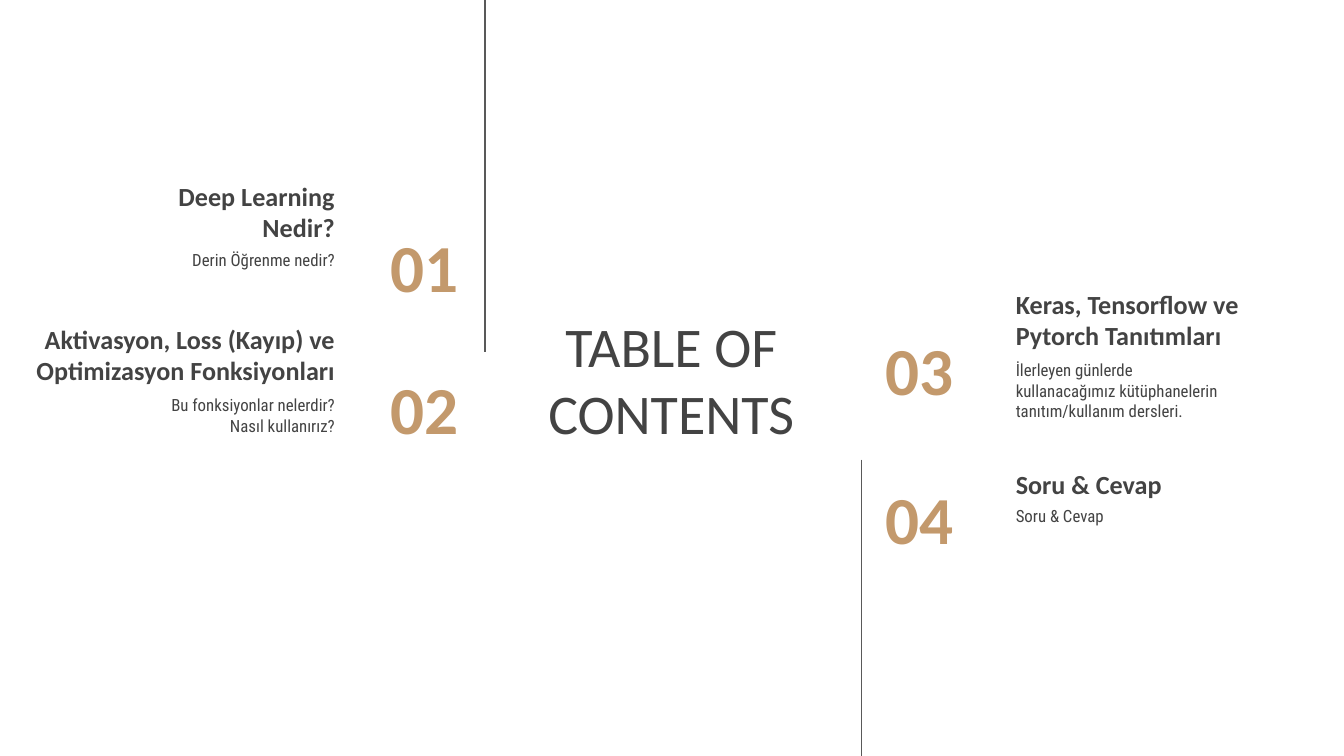
from dataclasses import dataclass

from lxml.etree import SubElement
from pptx import Presentation
from pptx.dml.color import RGBColor
from pptx.enum.shapes import MSO_CONNECTOR
from pptx.enum.text import MSO_ANCHOR as Anchor, PP_ALIGN as Align
from pptx.oxml.ns import qn
from pptx.slide import Slide
from pptx.util import Inches, Pt

DARK = RGBColor(0x43, 0x43, 0x43)
GOLD = RGBColor(0xC3, 0x99, 0x6C)
GRAY = RGBColor(0x59, 0x59, 0x59)
WHITE = RGBColor(0xFF, 0xFF, 0xFF)

SLIDE_WIDTH = 10
SLIDE_HEIGHT = SLIDE_WIDTH * 9 / 16
ROW_HEIGHT = 0.63


@dataclass(frozen=True)
class Style:
    font: str
    size: float
    color: RGBColor
    bold: bool
    anchor: Anchor


TITLE = Style("Calibri", 30, DARK, False, Anchor.MIDDLE)
NUMBER = Style("Calibri", 36, GOLD, True, Anchor.MIDDLE)
HEADING = Style("Calibri", 14, DARK, True, Anchor.BOTTOM)
DETAIL = Style("Roboto Condensed", 9, DARK, False, Anchor.TOP)


@dataclass(frozen=True)
class Side:
    """Columns shared by the entries on one side of the title."""
    align: Align
    number_left: float
    number_width: float
    detail_left: float
    detail_width: float


LEFT = Side(Align.RIGHT, 2.3, 1.21, 0.66, 1.93)
RIGHT = Side(Align.LEFT, 6.49, 1.17, 7.46, 1.83)


@dataclass(frozen=True)
class Entry:
    side: Side
    number: str
    number_top: float
    heading: str
    heading_left: float
    heading_top: float
    heading_width: float
    detail: str


ENTRIES = [
    Entry(LEFT, "01", 1.66, "Deep Learning\nNedir?", 0.43, 1.28, 2.16,
          "Derin Öğrenme nedir?"),
    Entry(LEFT, "02", 2.72, "Aktivasyon, Loss (Kayıp) ve Optimizasyon Fonksiyonları",
          0, 2.34, 2.59, "Bu fonksiyonlar nelerdir?\nNasıl kullanırız?"),
    Entry(RIGHT, "03", 2.43, "Keras, Tensorflow ve Pytorch Tanıtımları",
          7.46, 2.08, 2.16,
          "İlerleyen günlerde kullanacağımız kütüphanelerin tanıtım/kullanım dersleri."),
    Entry(RIGHT, "04", 3.54, "Soru & Cevap", 7.46, 3.19, 2.16, "Soru & Cevap"),
]


def add_text(slide: Slide, text: str, left: float, top: float, width: float,
             height: float, style: Style, align: Align) -> None:
    shape = slide.shapes.add_textbox(Inches(left), Inches(top), Inches(width), Inches(height))
    frame = shape.text_frame
    frame.word_wrap = True
    frame.vertical_anchor = style.anchor
    frame.margin_left = frame.margin_right = Inches(0.1)
    frame.margin_top = frame.margin_bottom = Inches(0.1)
    paragraph = frame.paragraphs[0]
    paragraph.alignment = align
    for index, line in enumerate(text.split("\n")):
        if index:
            paragraph.add_line_break()
        run = paragraph.add_run()
        run.text = line
        run.font.name = style.font
        run.font.size = Pt(style.size)
        run.font.bold = style.bold
        run.font.color.rgb = style.color


def add_vertical_line(slide: Slide, x: float, top: float, bottom: float) -> None:
    line = slide.shapes.add_connector(
        MSO_CONNECTOR.STRAIGHT, Inches(x), Inches(top), Inches(x), Inches(bottom))
    line.line.color.rgb = GRAY
    line.line.width = Pt(0.75)
    SubElement(line._element.spPr, qn("a:effectLst"))


def add_entry(slide: Slide, entry: Entry) -> None:
    side = entry.side
    add_text(slide, entry.heading, entry.heading_left, entry.heading_top,
             entry.heading_width, ROW_HEIGHT, HEADING, side.align)
    add_text(slide, entry.detail, side.detail_left, entry.heading_top + 0.5,
             side.detail_width, ROW_HEIGHT, DETAIL, side.align)
    add_text(slide, entry.number, side.number_left, entry.number_top,
             side.number_width, ROW_HEIGHT, NUMBER, side.align)


def main() -> None:
    presentation = Presentation()
    presentation.slide_width = Inches(SLIDE_WIDTH)
    presentation.slide_height = Inches(SLIDE_HEIGHT)
    slide = presentation.slides.add_slide(presentation.slide_layouts[6])
    slide.background.fill.solid()
    slide.background.fill.fore_color.rgb = WHITE

    # Title between the two dividing lines
    add_text(slide, "TABLE OF CONTENTS", 3.7, 2.3, 2.59, 1.03, TITLE, Align.CENTER)
    add_vertical_line(slide, 3.61, 0, 2.62)
    add_vertical_line(slide, 6.41, 3.42, SLIDE_HEIGHT)

    # Numbered contents
    for entry in ENTRIES:
        add_entry(slide, entry)

    presentation.save("out.pptx")


if __name__ == "__main__":
    main()
